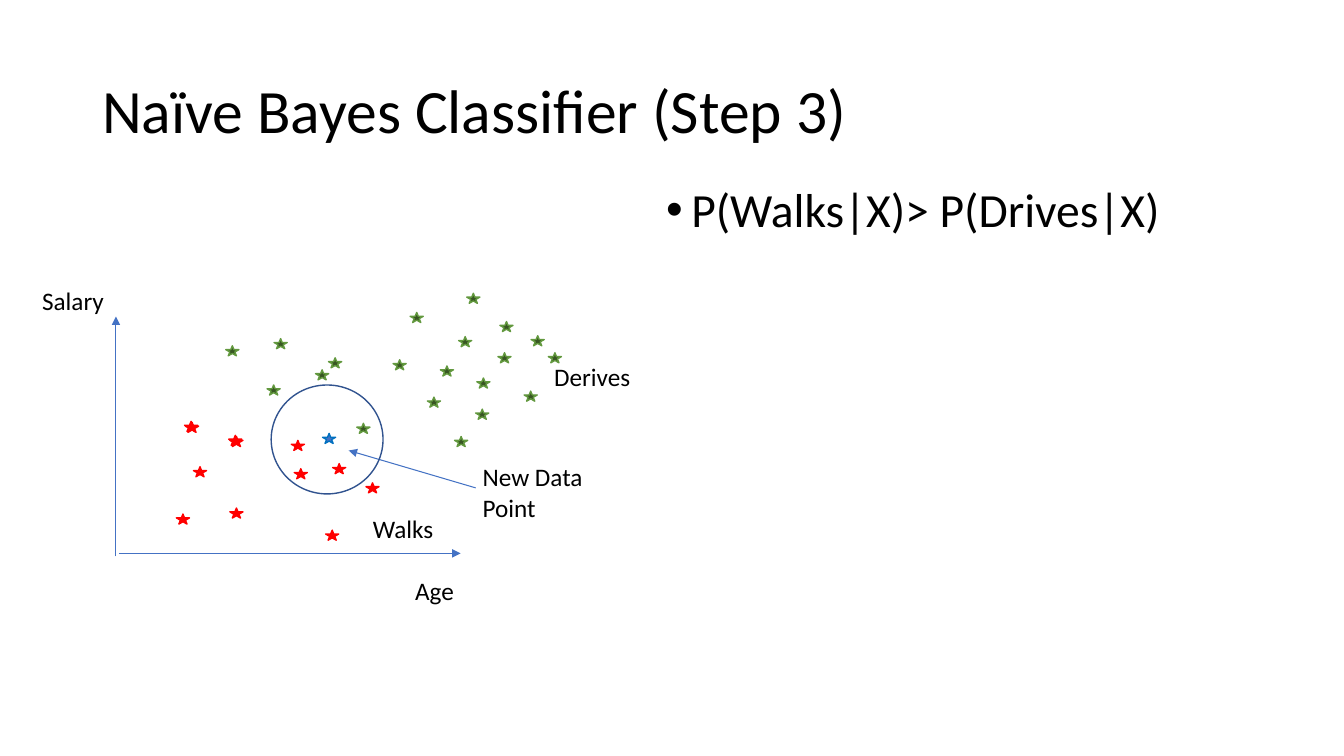
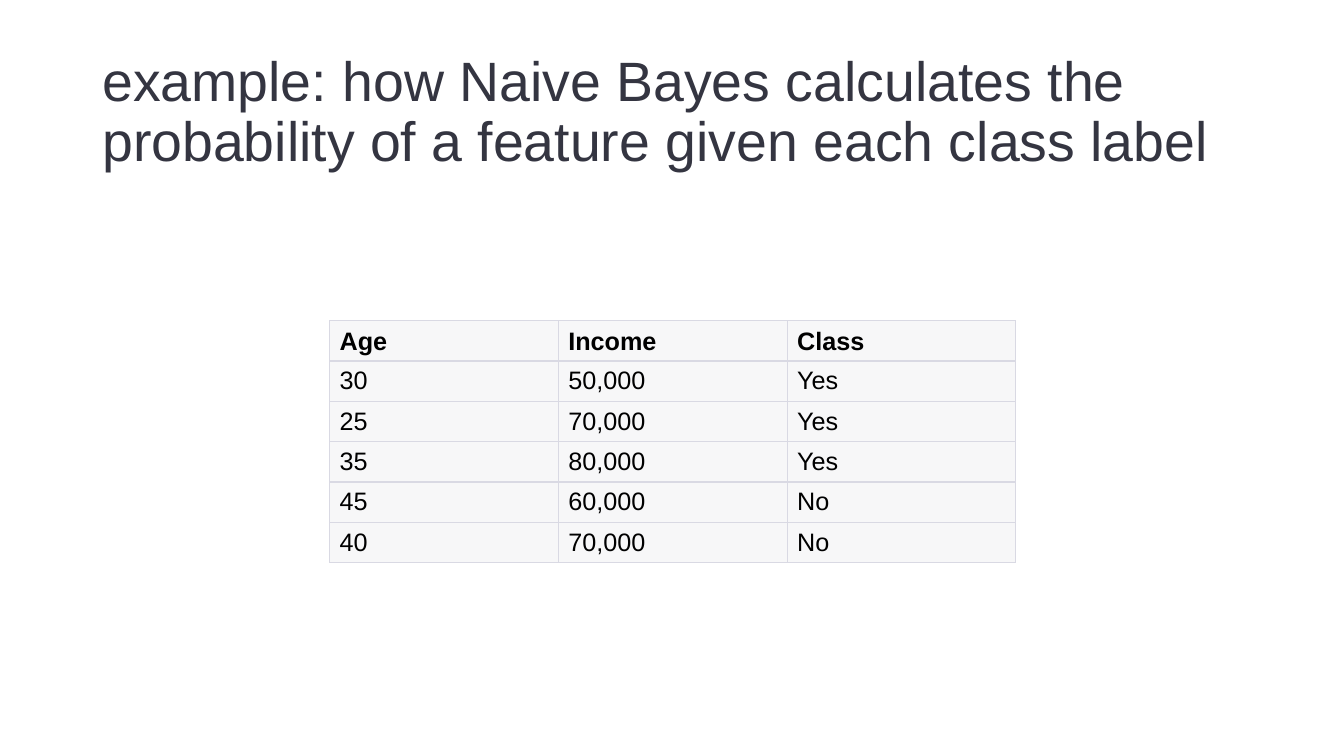
"""Build two slides on the Naive Bayes classifier."""
from lxml import etree
from pptx import Presentation
from pptx import util as u
from pptx.dml.color import RGBColor
from pptx.enum import shapes, text
from pptx.oxml import ns

BLACK, BLUE, RED = "000000", "4472C4", "FF0000"
DARK_GREEN, GREEN = "385623", "63993F"
STAR_SIZE = (9.4, 7.2)

WALKS = [
    (138.2, 333.4), (131.8, 301), (163.4, 311), (126, 367.2),
    (208.1, 314.6), (261.4, 344.9), (132.5, 301.7), (164.2, 311.8),
    (164.2, 362.9), (237.6, 331.2), (210.2, 334.8), (232.6, 378.7),
]
DRIVES = [
    (234.7, 255.6), (293, 223.2), (161.3, 247), (305.3, 283.7),
    (327.6, 240.5), (340.6, 270), (339.8, 292.3), (374.4, 279.4),
    (333.4, 209.5), (379.4, 239.8), (225.4, 264.2), (190.8, 275),
    (195.8, 241.9), (254.9, 302.4), (280.8, 257), (324.7, 311.8),
    (314.6, 261.4), (391.7, 252), (357.1, 229.7), (355.7, 252),
]
AXES = [((85, 395.3), (329, 395.3)), ((82.8, 397.4), (82.8, 226.1))]
POINTER = ((339.8, 348.5), (249.1, 321.8))
LABELS = [
    ("Salary", (23, 200.2, 75.6, 29)),
    ("Age", (289.4, 407.5, 53.3, 29)),
    ("Walks", (259.2, 362.9, 83.5, 29)),
    ("Derives", (388.8, 254.2, 69.1, 29)),
    ("New Data Point", (337.7, 326.2, 108, 51)),
]
PEOPLE = [
    ("Age", "Income", "Class"),
    ("30", "50,000", "Yes"),
    ("25", "70,000", "Yes"),
    ("35", "80,000", "Yes"),
    ("45", "60,000", "No"),
    ("40", "70,000", "No"),
]


def rgb(value):
    return RGBColor.from_string(value)


def points(values):
    return [u.Pt(value) for value in values]


class Deck:
    def __init__(self):
        self.presentation = Presentation()
        self.presentation.slide_width = u.Pt(960)
        self.presentation.slide_height = u.Pt(540)
        self.slide = None

    def add_slide(self):
        layout = self.presentation.slide_layouts[6]
        self.slide = self.presentation.slides.add_slide(layout)

    def style(self, paragraph, size, font="Calibri", color=BLACK, bold=False):
        for run in paragraph.runs:
            run.font.size = u.Pt(size)
            run.font.name = font
            run.font.bold = bold
            run.font.color.rgb = rgb(color)

    def text(self, words, box, size=18, font="Calibri", color=BLACK):
        shape = self.slide.shapes.add_textbox(*points(box))
        shape.text_frame.word_wrap = True
        shape.text_frame.text = words
        self.style(shape.text_frame.paragraphs[0], size, font, color)
        return shape.text_frame

    def title(self, words, size=44, font="Calibri", color=BLACK):
        frame = self.text(words, (66, 28.8, 828, 104.4), size, font, color)
        frame.vertical_anchor = text.MSO_ANCHOR.MIDDLE
        frame.paragraphs[0].line_spacing = 0.9

    def bullet(self, words, box, size):
        paragraph = self.text(words, box, size).paragraphs[0]
        paragraph.line_spacing = 0.9
        properties = paragraph._p.get_or_add_pPr()
        properties.set("marL", str(u.Pt(18)))
        properties.set("indent", str(u.Pt(-18)))
        etree.SubElement(properties, ns.qn("a:buFont"), typeface="Arial")
        etree.SubElement(properties, ns.qn("a:buChar"), char="•")

    def shape(self, kind, box, line, width=1, fill=None):
        shape = self.slide.shapes.add_shape(kind, *points(box))
        shape.shadow.inherit = False
        if fill:
            shape.fill.solid()
            shape.fill.fore_color.rgb = rgb(fill)
        else:
            shape.fill.background()
        shape.line.color.rgb = rgb(line)
        shape.line.width = u.Pt(width)

    def stars(self, places, fill, line):
        for place in places:
            self.shape(shapes.MSO_SHAPE.STAR_5_POINT, place + STAR_SIZE, line, fill=fill)

    def arrow(self, start, end):
        connector = self.slide.shapes.add_connector(
            shapes.MSO_CONNECTOR.STRAIGHT, *points(start + end))
        connector.line.color.rgb = rgb(BLUE)
        connector.line.width = u.Pt(0.75)
        line = connector.line._get_or_add_ln()
        etree.SubElement(line, ns.qn("a:tailEnd"), type="triangle")
        etree.SubElement(connector._element.spPr, ns.qn("a:effectLst"))

    def borders(self, cell, color):
        properties = cell._tc.get_or_add_tcPr()
        for side, width in (("L", 0.75), ("R", 0.75), ("T", 1), ("B", 1)):
            line = etree.SubElement(properties, ns.qn("a:ln" + side), w=str(u.Pt(width)))
            fill = etree.SubElement(line, ns.qn("a:solidFill"))
            etree.SubElement(fill, ns.qn("a:srgbClr"), val=color)

    def table(self, rows, left, top, column_width, row_height):
        count = len(rows[0])
        box = (left, top, column_width * count, row_height * len(rows))
        table = self.slide.shapes.add_table(len(rows), count, *points(box)).table
        table.first_row = table.horz_banding = False
        for row_index, row in enumerate(rows):
            header = row_index == 0
            for column_index, words in enumerate(row):
                cell = table.cell(row_index, column_index)
                cell.text_frame.text = words
                cell.vertical_anchor = (
                    text.MSO_ANCHOR.BOTTOM if header else text.MSO_ANCHOR.MIDDLE)
                self.style(cell.text_frame.paragraphs[0], 18, "Arial", bold=header)
                self.borders(cell, "D9D9E3")
                cell.fill.solid()
                cell.fill.fore_color.rgb = rgb("F7F7F8")


def main():
    deck = Deck()

    deck.add_slide()
    deck.title("Naïve Bayes Classifier (Step 3)")
    for start, end in AXES:
        deck.arrow(start, end)
    deck.stars(WALKS, RED, RED)
    deck.stars(DRIVES, DARK_GREEN, GREEN)
    deck.stars([(230.4, 309.6)], BLUE, "0070C0")
    deck.arrow(*POINTER)
    for words, box in LABELS:
        deck.text(words, box)
    deck.bullet("P(Walks|X)> P(Drives|X)", (468.7, 129.6, 480.2, 342.7), 34)
    deck.shape(shapes.MSO_SHAPE.FLOWCHART_CONNECTOR, (193.7, 275, 79.9, 77.8), "31538F")

    deck.add_slide()
    deck.title("example: how Naive Bayes calculates the probability of a feature "
               "given each class label", 39.6, "Arial", "343541")
    deck.table(PEOPLE, 235.4, 229, 163.4, 27.4)

    deck.presentation.save("out.pptx")


if __name__ == "__main__":
    main()
